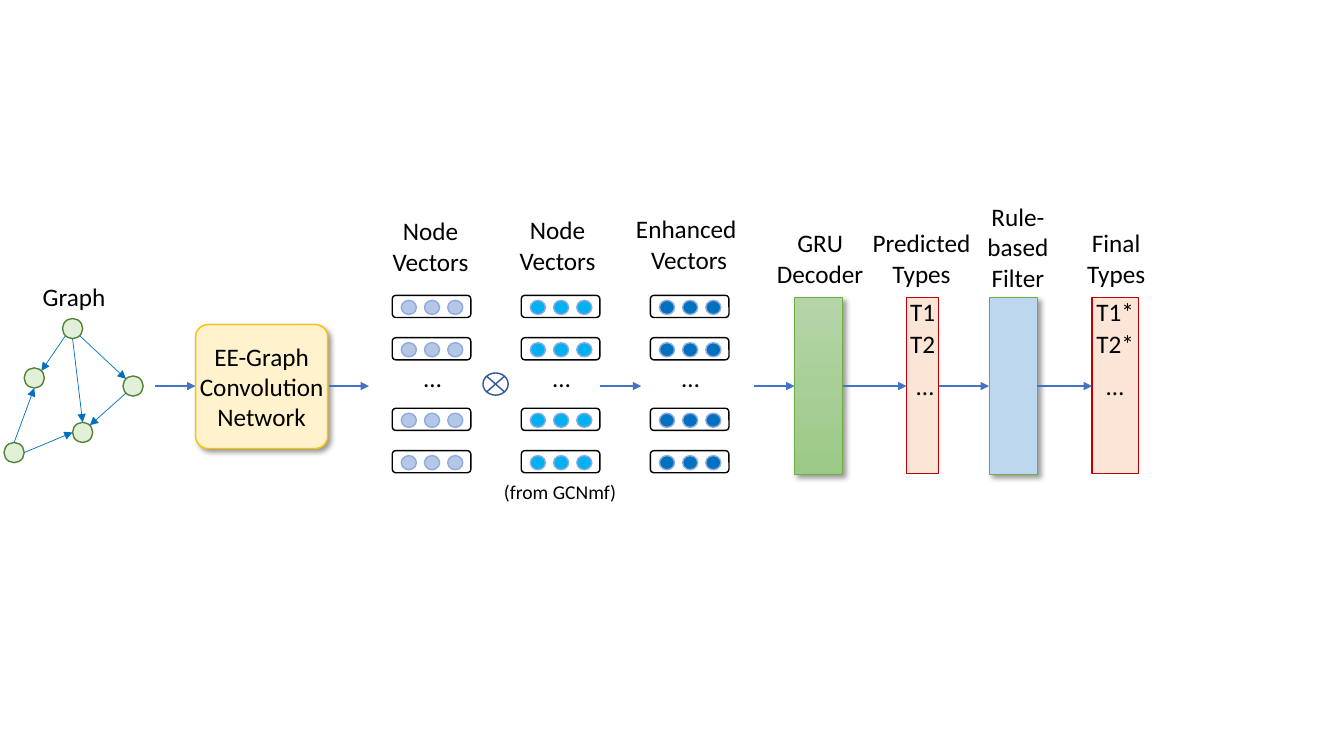
from math import cos, radians, sin

from lxml import etree
from pptx import Presentation
from pptx.dml.color import RGBColor
from pptx.enum.shapes import MSO_CONNECTOR, MSO_SHAPE
from pptx.enum.text import MSO_ANCHOR, MSO_AUTO_SIZE, PP_ALIGN
from pptx.oxml import parse_xml
from pptx.oxml.ns import qn
from pptx.util import Inches, Pt

OVAL, RECT, ROUND = MSO_SHAPE.OVAL, MSO_SHAPE.RECTANGLE, MSO_SHAPE.ROUNDED_RECTANGLE
CROSS = MSO_SHAPE.FLOWCHART_SUMMING_JUNCTION
STRAIGHT = MSO_CONNECTOR.STRAIGHT
MIDDLE, TOP = MSO_ANCHOR.MIDDLE, MSO_ANCHOR.TOP
FIT, CENTER = MSO_AUTO_SIZE.SHAPE_TO_FIT_TEXT, PP_ALIGN.CENTER

THEME = {
    "font": "Calibri", "size": 18, "small": 14, "ink": "000000",
    "node": "E2F0D9", "rim": "548235", "edge": "0070C0", "arrow": "4472C4",
    "net": "FFF2CC", "gold": "FFC000", "ring": "8FAADC", "cross": "325491",
    "vectors": ["B4C7E7", "00B0F0", "0070C0"],
    "green": ["B5D5A7", "9CC987"], "leaf": "70AD47",
    "filter": "BDD7EE", "types": "FBE5D6", "red": "C00000",
}
SHADOW = (
    '<a:effectLst xmlns:a="http://schemas.openxmlformats.org/drawingml/2006/main">'
    '<a:outerShdw blurRad="50800" dist="38100" dir="2700000" algn="tl" rotWithShape="0">'
    '<a:srgbClr val="000000"><a:alpha val="40000"/></a:srgbClr>'
    "</a:outerShdw></a:effectLst>"
)


def put(home, kind, box, text="", fill=None, line=None, width=1, shade=False, size=THEME["size"]):
    """Add a shape, or a text box when kind is None, with centred text."""
    place = [Inches(v) for v in box]
    if kind is None:
        item = home.add_textbox(*place)
    else:
        item = home.add_shape(kind, *place)
        item.shadow.inherit = False
        if isinstance(fill, list):
            item.fill.gradient()
            item.fill.gradient_angle = 270
            for stop, color in zip(item.fill.gradient_stops, fill):
                stop.color.rgb = RGBColor.from_string(color)
        elif fill:
            item.fill.solid()
            item.fill.fore_color.rgb = RGBColor.from_string(fill)
        else:
            item.fill.background()
        item.line.color.rgb = RGBColor.from_string(line)
        item.line.width = Pt(width)
    if shade:
        props = item._element.spPr
        props.remove(props.find(qn("a:effectLst")))
        props.append(parse_xml(SHADOW))
    if text:
        frame = item.text_frame
        frame.text = text
        frame.word_wrap = kind is not None
        frame.vertical_anchor = MIDDLE if kind is not None else TOP
        if kind is None:
            frame.auto_size = FIT
        for para in frame.paragraphs:
            para.alignment = CENTER
            para.font.size = Pt(size)
            para.font.name = THEME["font"]
            para.font.color.rgb = RGBColor.from_string(THEME["ink"])
    return item


def link(home, start, end, color, width):
    """Add a straight arrow from start to end."""
    line = home.add_connector(STRAIGHT, *[Inches(v) for v in (*start, *end)])
    line.line.color.rgb = RGBColor.from_string(color)
    line.line.width = Pt(width)
    etree.SubElement(line.line._get_or_add_ln(), qn("a:tailEnd"), type="triangle")
    etree.SubElement(line._element.spPr, qn("a:effectLst"))


deck = Presentation()
deck.slide_width, deck.slide_height = Inches(13.33), Inches(7.5)
slide = deck.slides.add_slide(deck.slide_layouts[6])
page = slide.shapes

# Graph: node centres, and edges as (node, angle) pairs, clockwise from the right
nodes = {"top": (0.72, 3.26), "left": (0.34, 3.75), "low": (0.82, 4.29),
         "right": (1.32, 3.83), "base": (0.14, 4.49)}
edges = [("top", 135, "left", 315), ("top", 90, "low", 270), ("top", 45, "right", 225),
         ("right", 135, "low", 315), ("base", 0, "low", 180), ("base", 270, "left", 90)]
graph = page.add_group_shape().shapes
for x, y in nodes.values():
    put(graph, OVAL, (x - 0.1, y - 0.1, 0.2, 0.2), fill=THEME["node"], line=THEME["rim"])
for a, out, b, into in edges:
    ends = [(nodes[n][0] + 0.1 * cos(radians(t)), nodes[n][1] + 0.1 * sin(radians(t)))
            for n, t in ((a, out), (b, into))]
    link(graph, *ends, THEME["edge"], 0.5)

# Convolution network
net = put(page, ROUND, (1.94, 3.22, 1.31, 1.23), "EE-Graph\nConvolution\nNetwork",
          THEME["net"], THEME["gold"], shade=True)
net.adjustments[0] = 0.1
frame = net.text_frame
frame.margin_left = frame.margin_right = frame.margin_top = frame.margin_bottom = 0

# Three columns of vectors
for col, color in enumerate(THEME["vectors"]):
    x = 3.89 + 1.28 * col
    group = page.add_group_shape().shapes
    for y in (2.93, 3.35, 4.05, 4.47):
        put(group, ROUND, (x, y, 0.78, 0.22), line=THEME["ink"])
        for dot in range(3):
            put(group, OVAL, (x + 0.09 + 0.23 * dot, y + 0.05, 0.15, 0.14),
                fill=color, line=THEME["ring"])
    put(group, None, (x + 0.21, 3.55, 0.38, 0.4), "…")
put(page, CROSS, (4.79, 3.7, 0.25, 0.22), line=THEME["cross"])

# Decoder and filter bars
for x, fill in ((7.88, THEME["green"]), (9.81, THEME["filter"])):
    put(page, RECT, (x, 2.95, 0.48, 1.76), fill=fill, line=THEME["leaf"], width=0.5, shade=True)

# Predicted and final types, with labels wider than their bars
for x, wide, mark in ((8.99, 0.32, ""), (10.83, 0.46, "*")):
    group = page.add_group_shape().shapes
    put(group, RECT, (x, 2.95, wide, 1.75), "…", THEME["types"], THEME["red"])
    for row, name in enumerate(("T1", "T2")):
        label = put(group, None, (x - 0.1, 2.89 + 0.32 * row, wide + 0.2, 0.4), name + mark)
        label.text_frame.margin_left = label.text_frame.margin_right = 0

# Captions
for text, x, y, wide, high in (
    ("Graph", 0.32, 2.74, 0.83, 0.4),
    ("Node\nVectors", 3.79, 2.09, 0.96, 0.71),
    ("Node\nVectors", 5.05, 2.08, 0.96, 0.71),
    ("Enhanced \nVectors", 6.2, 2.07, 1.27, 0.71),
    ("GRU\nDecoder", 7.6, 2.21, 1.07, 0.71),
    ("Predicted\nTypes", 8.55, 2.21, 1.18, 0.71),
    ("Rule-\nbased\nFilter", 9.69, 1.95, 0.81, 1.01),
    ("Final\nTypes", 10.68, 2.21, 0.78, 0.71),
):
    put(page, None, (x, y, wide, high), text)
put(page, None, (4.84, 4.71, 1.43, 0.34), "(from GCNmf)", size=THEME["small"])

# Flow arrows
for x, end in ((1.54, 1.94), (3.26, 3.66), (5.95, 6.36), (7.48, 7.88),
               (8.36, 8.99), (9.31, 9.81), (10.29, 10.83)):
    link(page, (x, 3.83), (end, 3.83), THEME["arrow"], 1.5)

deck.save("out.pptx")
